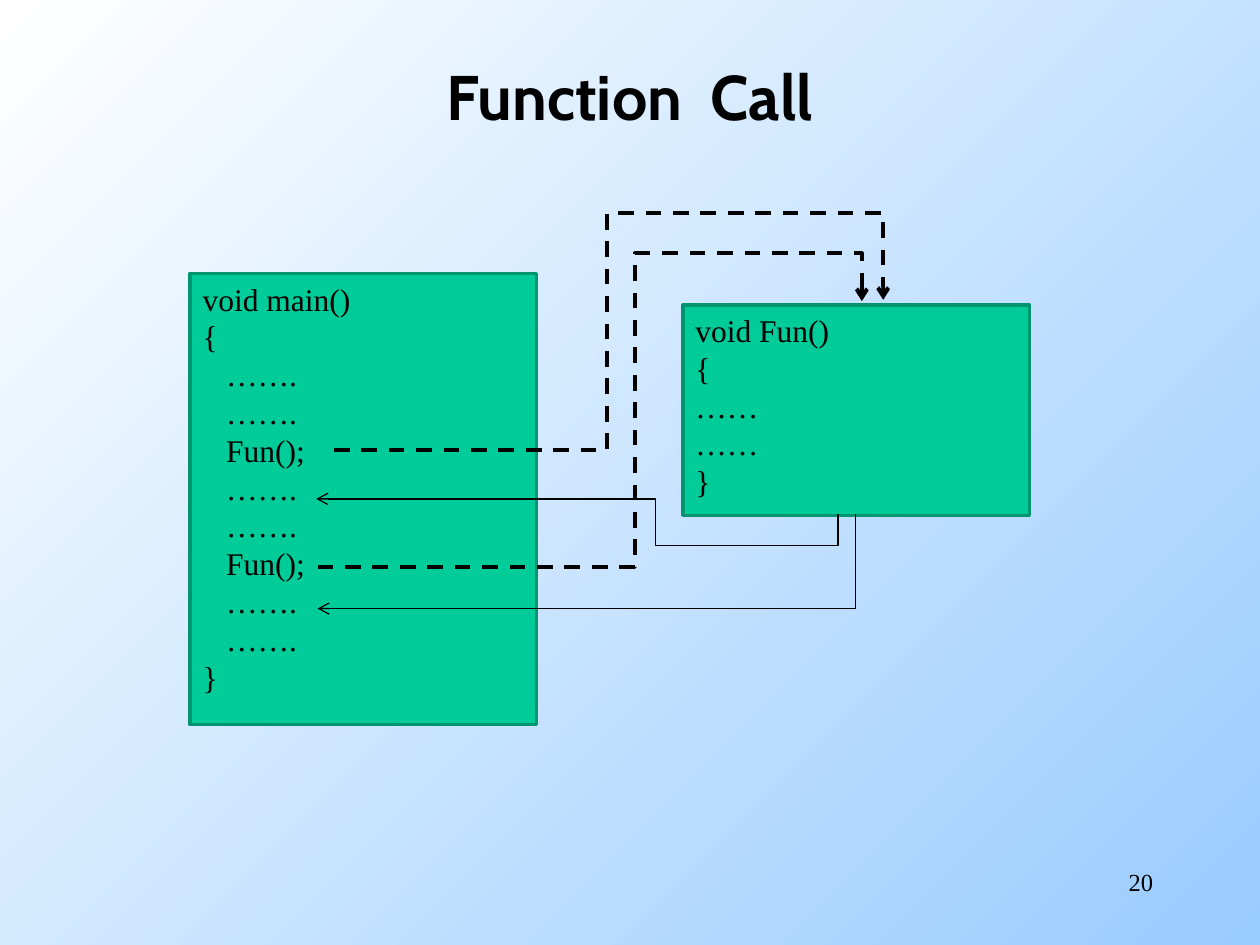
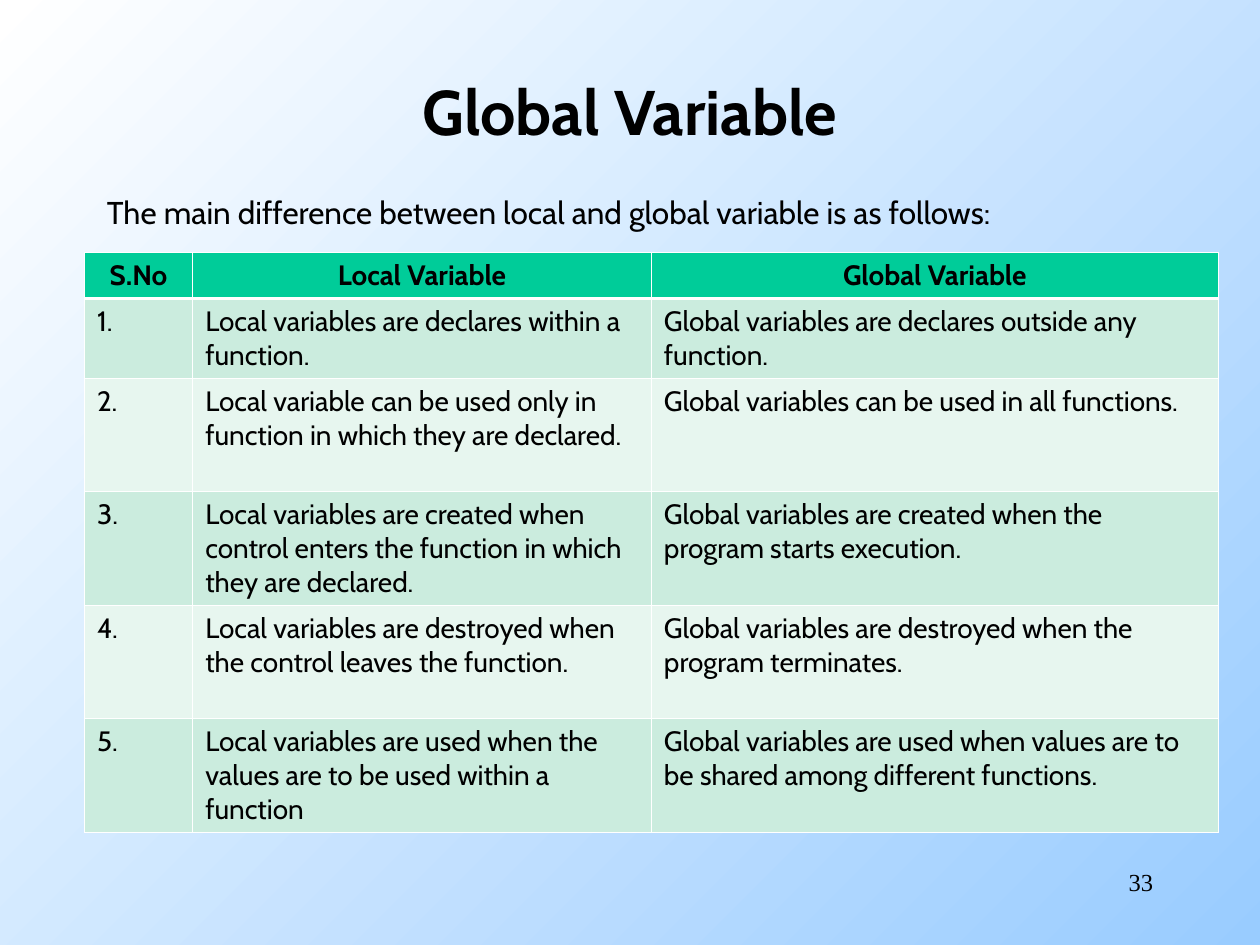
import math

import pptx
import pptx.dml.color
import pptx.enum.dml
import pptx.enum.shapes
import pptx.enum.text
import pptx.oxml
import pptx.oxml.ns
import pptx.util

Inches = pptx.util.Inches
Pt = pptx.util.Pt
RGBColor = pptx.dml.color.RGBColor
Align = pptx.enum.text.PP_ALIGN
Anchor = pptx.enum.text.MSO_ANCHOR
qn = pptx.oxml.ns.qn

BLACK = RGBColor(0x00, 0x00, 0x00)
WHITE = RGBColor(0xFF, 0xFF, 0xFF)
SKY = RGBColor(0x99, 0xCC, 0xFF)
GREEN = RGBColor(0x00, 0xCC, 0x99)
DARK_GREEN = RGBColor(0x00, 0x95, 0x6F)
BANDS = [RGBColor(0xCB, 0xEC, 0xDE), RGBColor(0xE7, 0xF6, 0xEF)]
SANS = "Cabin"
SERIF = "Times New Roman"


def write(frame, text, size=18, font=SANS, bold=False, align=Align.LEFT,
          anchor=Anchor.TOP, spacing=None):
    """Fill a text frame, one paragraph per line of text."""
    frame.word_wrap = True
    frame.vertical_anchor = anchor
    for index, line in enumerate(text.split("\n")):
        para = frame.add_paragraph() if index else frame.paragraphs[0]
        para.alignment = align
        para.line_spacing = spacing
        span = para.add_run()
        span.text = line
        span.font.size = Pt(size)
        span.font.name = font
        span.font.bold = bold
        span.font.color.rgb = BLACK


def add_xml(parent, tag, **attributes):
    child = parent.makeelement(qn(tag), attributes)
    parent.append(child)
    return child


class Lecture:
    """The deck's shared style and the page being filled."""

    def __init__(self):
        self.deck = pptx.Presentation()
        self.deck.slide_width = Inches(10)
        self.deck.slide_height = Inches(7.5)
        self.page = None
        fill = self.deck.slide_master.background.fill
        fill.gradient()
        fill.gradient_angle = 315
        for stop, color in zip(fill.gradient_stops, (WHITE, SKY)):
            stop.color.rgb = color

    def start_page(self, title, number, top, height):
        self.page = self.deck.slides.add_slide(self.deck.slide_layouts[5])
        heading = self.page.shapes.title
        heading.left, heading.top = Inches(0.75), Inches(top)
        heading.width, heading.height = Inches(8.5), Inches(height)
        write(heading.text_frame, title, size=36, bold=True,
              align=Align.CENTER, anchor=Anchor.MIDDLE)
        self.text(number, 7.17, 6.83, 2.08, 0.5, size=14, font=SERIF,
                  align=Align.RIGHT)

    def text(self, text, left, top, width, height, **style):
        box = self.page.shapes.add_textbox(
            Inches(left), Inches(top), Inches(width), Inches(height))
        write(box.text_frame, text, **style)

    def code_box(self, code, left, top, height):
        box = self.page.shapes.add_shape(
            pptx.enum.shapes.MSO_SHAPE.RECTANGLE,
            Inches(left), Inches(top), Inches(2.75), Inches(height))
        box.shadow.inherit = False
        box.fill.solid()
        box.fill.fore_color.rgb = GREEN
        box.line.color.rgb = DARK_GREEN
        box.line.width = Pt(2)
        write(box.text_frame, code, font=SERIF, spacing=Pt(21.6))

    def bent_arrow(self, start, end, corner=None, turn=0, width=0.75,
                   dashed=False):
        """Draw an elbow arrow, turned clockwise, whose middle bend is corner."""
        center = [(a + b) / 2 for a, b in zip(start, end)]
        cosine, sine = math.cos(math.radians(turn)), math.sin(math.radians(turn))

        def unturn(point):
            x, y = point[0] - center[0], point[1] - center[1]
            return (center[0] + x * cosine + y * sine,
                    center[1] - x * sine + y * cosine)

        begin, finish = unturn(start), unturn(end)
        arrow = self.page.shapes.add_connector(
            pptx.enum.shapes.MSO_CONNECTOR.ELBOW,
            *(Inches(value) for value in begin + finish))
        properties = arrow.element.spPr
        properties.find(qn("a:xfrm")).set("rot", str(turn * 60000))
        geometry = properties.find(qn("a:prstGeom"))
        geometry.set("prst", "bentConnector4" if corner else "bentConnector2")
        if corner:
            guides = geometry.find(qn("a:avLst"))
            if guides is None:
                guides = add_xml(geometry, "a:avLst")
            for axis, value in enumerate(unturn(corner)):
                ratio = (value - begin[axis]) / (finish[axis] - begin[axis])
                add_xml(guides, "a:gd", name=f"adj{axis + 1}",
                        fmla=f"val {round(ratio * 100000)}")
        arrow.line.color.rgb = BLACK
        arrow.line.width = Pt(width)
        if dashed:
            arrow.line.dash_style = pptx.enum.dml.MSO_LINE.DASH
        add_xml(properties.find(qn("a:ln")), "a:tailEnd", type="arrow")
        add_xml(properties, "a:effectLst")

    def table(self, rows, left, top, widths, heights):
        grid = self.page.shapes.add_table(
            len(rows), len(widths), Inches(left), Inches(top),
            Inches(sum(widths)), Inches(sum(heights))).table
        for column, width in zip(grid.columns, widths):
            column.width = Inches(width)
        for index, (row, height) in enumerate(zip(rows, heights)):
            grid.rows[index].height = Inches(height)
            header = index == 0
            for cell, text in zip(grid.rows[index].cells, row):
                write(cell.text_frame, text, size=16, bold=header,
                      align=Align.CENTER if header else Align.LEFT)
                self.cell_borders(cell, top=1.47 if index == 1 else 0.45,
                                  bottom=1.47 if header else 0.45)
                cell.fill.solid()
                cell.fill.fore_color.rgb = (
                    GREEN if header else BANDS[(index - 1) % 2])

    def cell_borders(self, cell, top, bottom):
        properties = cell._tc.get_or_add_tcPr()
        for side, width in (("L", 0.45), ("R", 0.45), ("T", top), ("B", bottom)):
            line = add_xml(properties, f"a:ln{side}", w=str(Pt(width)))
            add_xml(add_xml(line, "a:solidFill"), "a:srgbClr", val=str(WHITE))


MAIN_CODE = """void main()
{
   …….
   …….
   Fun();
   …….
   …….
   Fun();
   …….
   …….
}"""

FUN_CODE = """void Fun()
{
……
……
}"""

DIFFERENCES = [
    ("S.No", "Local Variable", "Global Variable"),
    ("1.", "Local variables are declares within a function.",
     "Global variables are declares outside any function."),
    ("2.", "Local variable can be used only in function in which they are declared.",
     "Global variables can be used in all functions."),
    ("3.", "Local variables are created when control enters the function in "
     "which they are declared.",
     "Global variables are created when the program starts execution."),
    ("4.", "Local variables are destroyed when the control leaves the function.",
     "Global variables are destroyed when the program terminates."),
    ("5.", "Local variables are used when the values are to be used within a function",
     "Global variables are used when values are to be shared among different "
     "functions."),
]


def main():
    lecture = Lecture()

    # Function call: code boxes, then calls (dashed) and returns (thin)
    lecture.start_page("Function  Call", "20", top=0.17, height=1.17)
    lecture.code_box(MAIN_CODE, 1.51, 2.17, 3.58)
    lecture.code_box(FUN_CODE, 5.42, 2.42, 1.67)
    lecture.bent_arrow((2.65, 3.57), (7.01, 2.38), corner=(4.82, 1.69),
                       width=2.25, dashed=True)
    lecture.bent_arrow((2.52, 4.5), (6.84, 2.39), corner=(5.04, 2.01),
                       width=2.25, dashed=True)
    lecture.bent_arrow((6.65, 4.08), (2.51, 3.96), corner=(5.2, 4.33), turn=270)
    lecture.bent_arrow((6.79, 4.08), (2.52, 4.83), turn=90)

    # Global variable: introduction and comparison table
    lecture.start_page("Global Variable", "33", top=0.25, height=1.25)
    lecture.text("The main difference between local and global variable is as "
                 "follows:", 0.75, 1.33, 8.75, 0.6, align=Align.JUSTIFY,
                 spacing=1.5)
    lecture.table(DIFFERENCES, 0.67, 2, widths=[0.86, 3.64, 4.5],
                  heights=[0.37, 0.63] + [0.9] * 4)

    lecture.deck.save("out.pptx")


if __name__ == "__main__":
    main()
